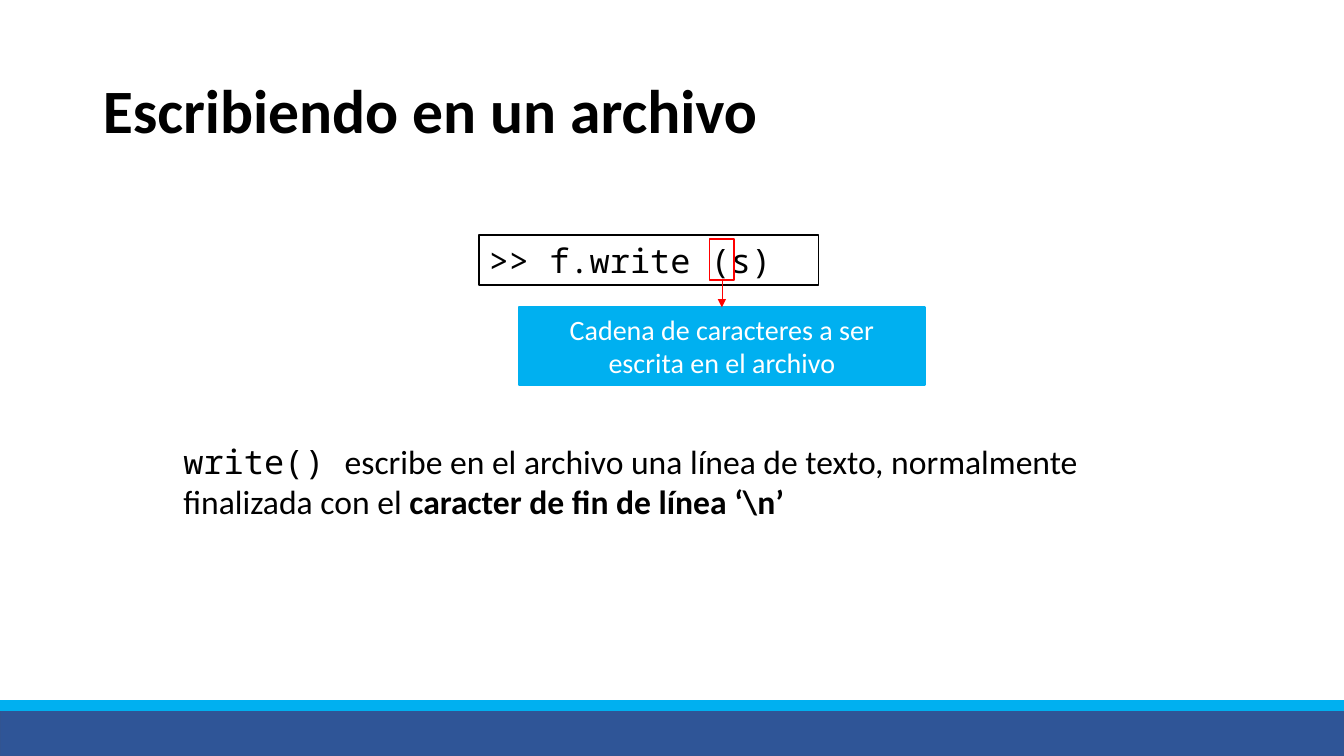
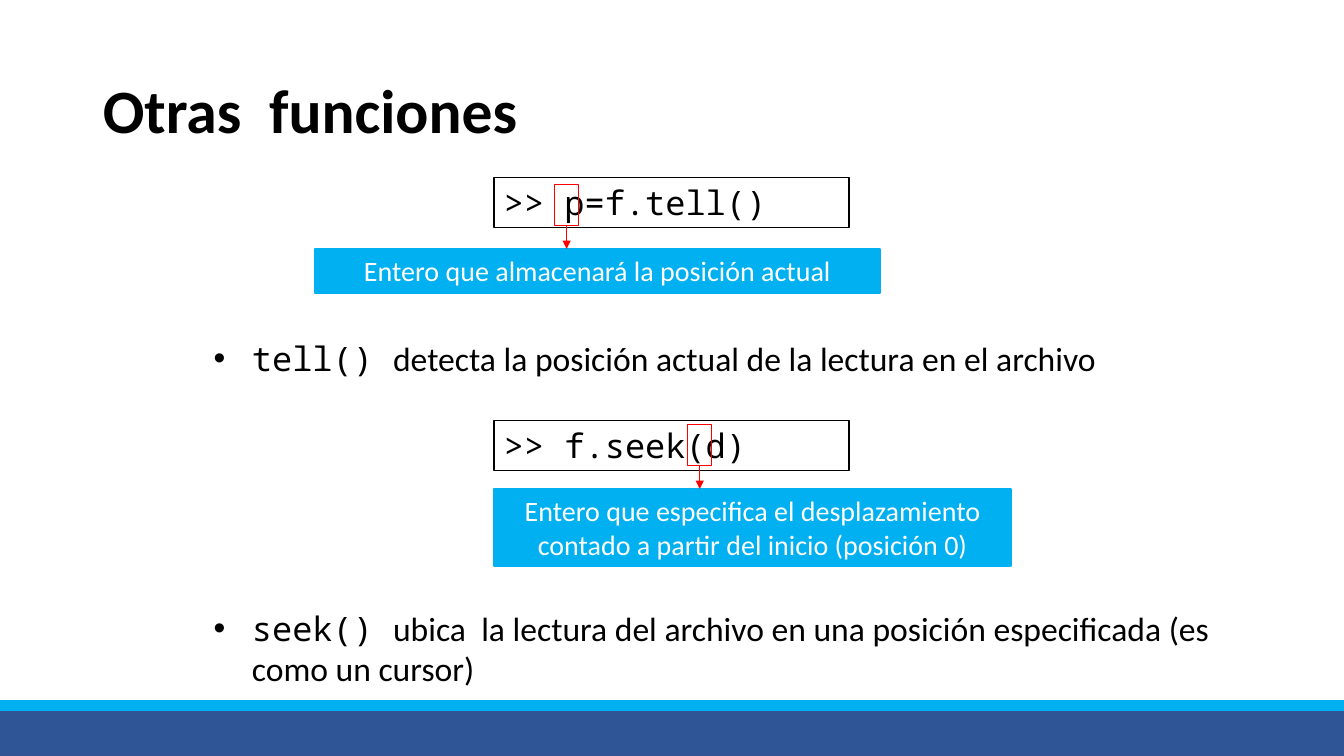
from lxml import etree
from pptx import Presentation
from pptx.dml.color import RGBColor
from pptx.enum.shapes import MSO_CONNECTOR, MSO_SHAPE
from pptx.enum.text import MSO_ANCHOR, MSO_AUTO_SIZE, PP_ALIGN
from pptx.oxml.ns import qn
from pptx.util import Inches, Pt

RECT, STRAIGHT = MSO_SHAPE.RECTANGLE, MSO_CONNECTOR.STRAIGHT
LEFT, CENTER = PP_ALIGN.LEFT, PP_ALIGN.CENTER
BOTTOM, TOP = 2, 0
TITLE_ONLY = 5

WIDTH, HEIGHT = 13.33, 7.5
SANS, MONO = "Calibri", "Noto Sans Mono"
BLACK, WHITE, RED, SKY = "000000", "FFFFFF", "FF0000", "00B0F0"
MARKER_W, MARKER_H = 0.24, 0.41
CODE_H, BODY_W, HANG = 0.5, 10.18, 0.38

# top, height, fill, line
BANDS = [(7.03, 0.47, "2F5597", "325491"), (6.95, 0.1, SKY, SKY)]

# code: (text, left, top, width); marker: (centre x, top)
# callout: (text, left, top, width, height)
# body: (runs as (text, font, bold), left, top, height, bulleted)
SLIDES = [
    ("Escribiendo en un archivo", [
        dict(code=(">> f.write (s)", 4.75, 2.33, 3.37),
             marker=(7.16, 2.37),
             callout=("Cadena de caracteres a ser escrita en el archivo",
                      5.15, 3.05, 4.02, 0.77),
             body=([("write() ", MONO, False),
                    ("escribe en el archivo una línea de texto, normalmente "
                     "finalizada con el ", SANS, False),
                    ("caracter de fin de línea ‘\\n’", SANS, True)],
                   1.72, 4.32, 0.91, False)),
    ]),
    ("Otras  funciones", [
        dict(code=(">> p=f.tell()", 4.9, 1.76, 3.52),
             marker=(5.62, 1.83),
             callout=("Entero que almacenará la posición actual",
                      3.12, 2.47, 5.61, 0.44),
             body=([("tell() ", MONO, False),
                    ("detecta la posición actual de la lectura en el archivo",
                     SANS, False)],
                   2.02, 3.3, 0.5, True)),
        dict(code=(">> f.seek(d)", 4.9, 4.17, 3.52),
             marker=(6.94, 4.21),
             callout=("Entero que especifica el desplazamiento contado a "
                      "partir del inicio (posición 0)",
                      4.9, 4.85, 5.13, 0.77),
             body=([("seek() ", MONO, False),
                    ("ubica  la lectura del archivo en una posición "
                     "especificada (es como un cursor)", SANS, False)],
                   2.02, 5.98, 0.91, True)),
    ]),
]


def rgb(value):
    return RGBColor.from_string(value)


def paint(sp, fill, line, weight):
    if fill:
        sp.fill.solid()
        sp.fill.fore_color.rgb = rgb(fill)
    else:
        sp.fill.background()
    sp.line.color.rgb = rgb(line)
    sp.line.width = Pt(weight)


def add_rect(slide, box, fill, line):
    sp = slide.shapes.add_shape(RECT, *map(Inches, box))
    sp.shadow.inherit = False
    paint(sp, fill, line, 1)
    return sp


def add_run(p, text, font, size, color, bold=False):
    r = p.add_run()
    r.text = text
    r.font.name, r.font.size, r.font.bold = font, Pt(size), bold
    r.font.color.rgb = rgb(color)


def add_text(slide, box, runs, size, color=BLACK, align=LEFT, bulleted=False):
    sp = slide.shapes.add_textbox(*map(Inches, box))
    tf = sp.text_frame
    tf.word_wrap = True
    tf.auto_size = MSO_AUTO_SIZE.SHAPE_TO_FIT_TEXT
    p = tf.paragraphs[0]
    p.alignment = align
    if bulleted:
        pPr = p._p.get_or_add_pPr()
        pPr.set("marL", str(Inches(HANG)))
        pPr.set("indent", str(-Inches(HANG)))
        etree.SubElement(pPr, qn("a:buFont"), typeface="Arial")
        etree.SubElement(pPr, qn("a:buChar"), char="•")
    for text, font, bold in runs:
        add_run(p, text, font, size, color, bold)
    return sp


def add_arrow(slide, marker, callout):
    x = marker.left + marker.width // 2
    c = slide.shapes.add_connector(
        STRAIGHT, x, marker.top + marker.height, x, callout.top)
    c.begin_connect(marker, BOTTOM)
    if abs(callout.left + callout.width // 2 - x) < Inches(0.01):
        c.end_connect(callout, TOP)
    c.line.color.rgb = rgb(RED)
    c.line.width = Pt(0.5)
    etree.SubElement(c.line._get_or_add_ln(), qn("a:tailEnd"), type="triangle")
    etree.SubElement(c.element.spPr, qn("a:effectLst"))


def add_title(slide, text):
    sp = slide.shapes.title
    sp.left, sp.top, sp.width, sp.height = map(Inches, (0.92, 0.4, 11.5, 1.45))
    tf = sp.text_frame
    tf.word_wrap = True
    tf.vertical_anchor = MSO_ANCHOR.MIDDLE
    p = tf.paragraphs[0]
    p.alignment, p.line_spacing = LEFT, 0.9
    add_run(p, text, SANS, 44, BLACK, True)


def add_example(slide, code, marker, callout, body):
    """Draw a code line, the marked argument with its callout, and the text."""
    runs, left, top, height, bulleted = body
    add_text(slide, (left, top, BODY_W, height), runs, 24, bulleted=bulleted)

    text, left, top, width = code
    sp = add_text(slide, (left, top, width, CODE_H), [(text, MONO, False)], 24)
    paint(sp, WHITE, BLACK, 1)

    x, top = marker
    mark = add_rect(slide, (x - MARKER_W / 2, top, MARKER_W, MARKER_H),
                    None, RED)

    text, *box = callout
    note = add_text(slide, box, [(text, SANS, False)], 20, WHITE, CENTER)
    paint(note, SKY, SKY, 1.5)
    add_arrow(slide, mark, note)


def move_bands_to_layout(slide, layout):
    """Draw the bottom bands and hand them to the layout all slides share."""
    for top, height, fill, line in BANDS:
        sp = add_rect(slide, (0, top, WIDTH, height), fill, line)
        layout.shapes.element.append(sp.element)


def main():
    prs = Presentation()
    prs.slide_width, prs.slide_height = Inches(WIDTH), Inches(HEIGHT)
    layout = prs.slide_layouts[TITLE_ONLY]
    for number, (title, examples) in enumerate(SLIDES):
        slide = prs.slides.add_slide(layout)
        if number == 0:
            move_bands_to_layout(slide, layout)
        add_title(slide, title)
        for example in examples:
            add_example(slide, **example)
    prs.save("out.pptx")


if __name__ == "__main__":
    main()
